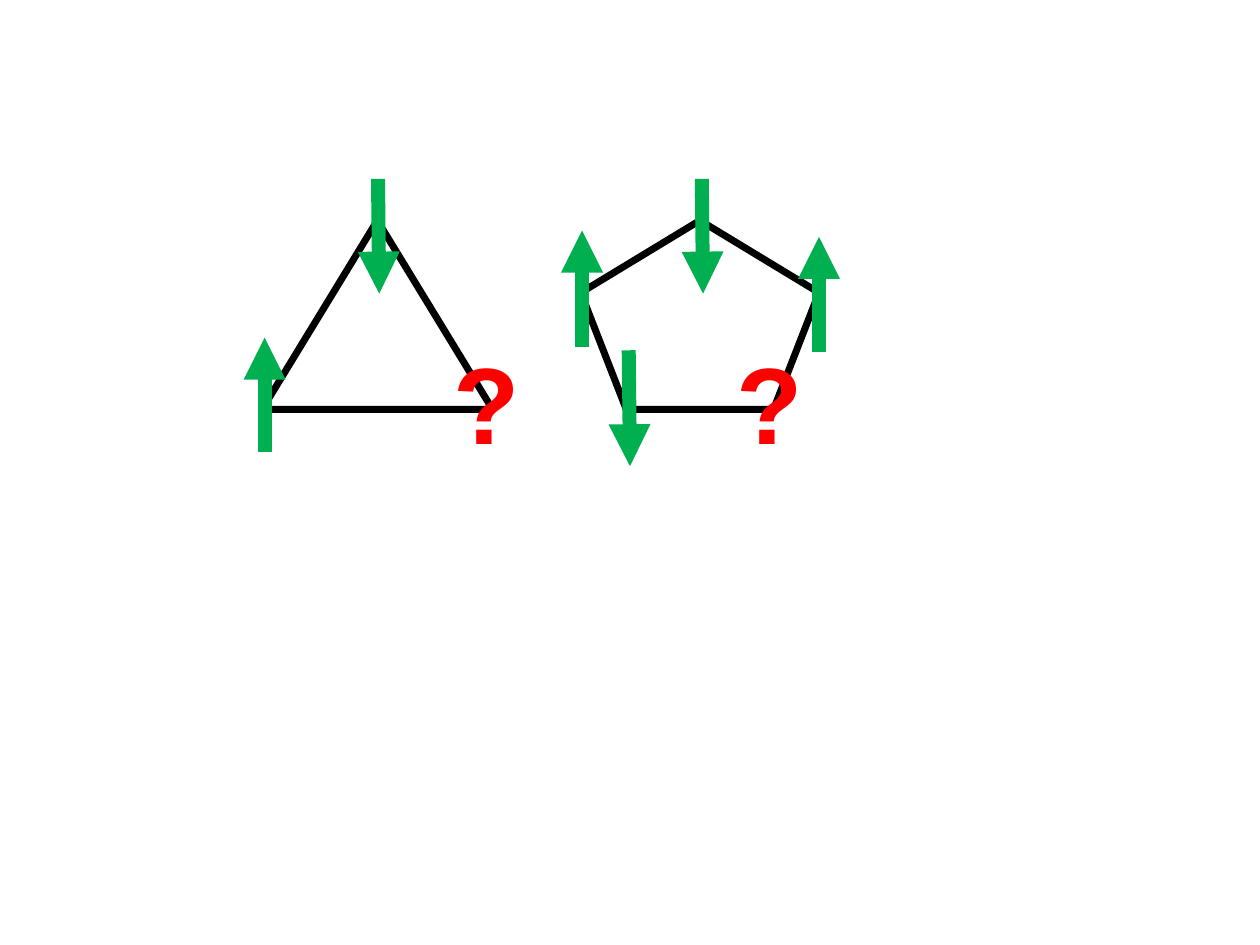
"""Frustrated spins on a triangle and a pentagon."""
from lxml import etree
from pptx import Presentation
from pptx.dml.color import RGBColor
from pptx.enum.shapes import MSO_CONNECTOR, MSO_SHAPE
from pptx.enum.text import MSO_ANCHOR
from pptx.oxml.ns import qn
from pptx.util import Inches, Pt


def color(code):
    return RGBColor.from_string(code)


deck = Presentation()
deck.slide_width, deck.slide_height = Inches(10), Inches(7.5)
slide = deck.slides.add_slide(deck.slide_layouts[6])

lattices = [
    (MSO_SHAPE.ISOSCELES_TRIANGLE, 2.08, 1.83, 3.5,
     [(3, 1.42, 3.01, 2.33), (2.1, 3.59, 2.1, 2.68)]),
    (MSO_SHAPE.REGULAR_PENTAGON, 4.61, 1.89, 5.75,
     [(5.57, 1.42, 5.58, 2.33), (4.99, 2.78, 5, 3.7),
      (4.62, 2.75, 4.62, 1.83), (6.5, 2.79, 6.5, 1.88)]),
]

for kind, left, width, unknown_left, spins in lattices:
    lattice = slide.shapes.add_shape(
        kind, Inches(left), Inches(1.75), Inches(width), Inches(1.5))
    lattice.shadow.inherit = False
    lattice.fill.background()
    lattice.line.color.rgb = color("000000")
    lattice.line.width = Pt(4)

    for ends in spins:
        spin = slide.shapes.add_connector(
            MSO_CONNECTOR.STRAIGHT, *[Inches(value) for value in ends])
        spin.line.color.rgb = color("00B050")
        spin.line.width = Pt(8)
        etree.SubElement(spin.line._get_or_add_ln(), qn("a:tailEnd"), type="triangle")
        etree.SubElement(spin._element.spPr, qn("a:effectLst"))

    unknown = slide.shapes.add_textbox(
        Inches(unknown_left), Inches(2.61), Inches(0.62), Inches(1.14)).text_frame
    unknown.word_wrap = True
    unknown.vertical_anchor = MSO_ANCHOR.BOTTOM
    mark = unknown.paragraphs[0].add_run()
    mark.text = "?"
    for attribute, value in {"name": "Arial", "size": Pt(62), "bold": True}.items():
        setattr(mark.font, attribute, value)
    mark.font.color.rgb = color("FF0000")

deck.save("out.pptx")
